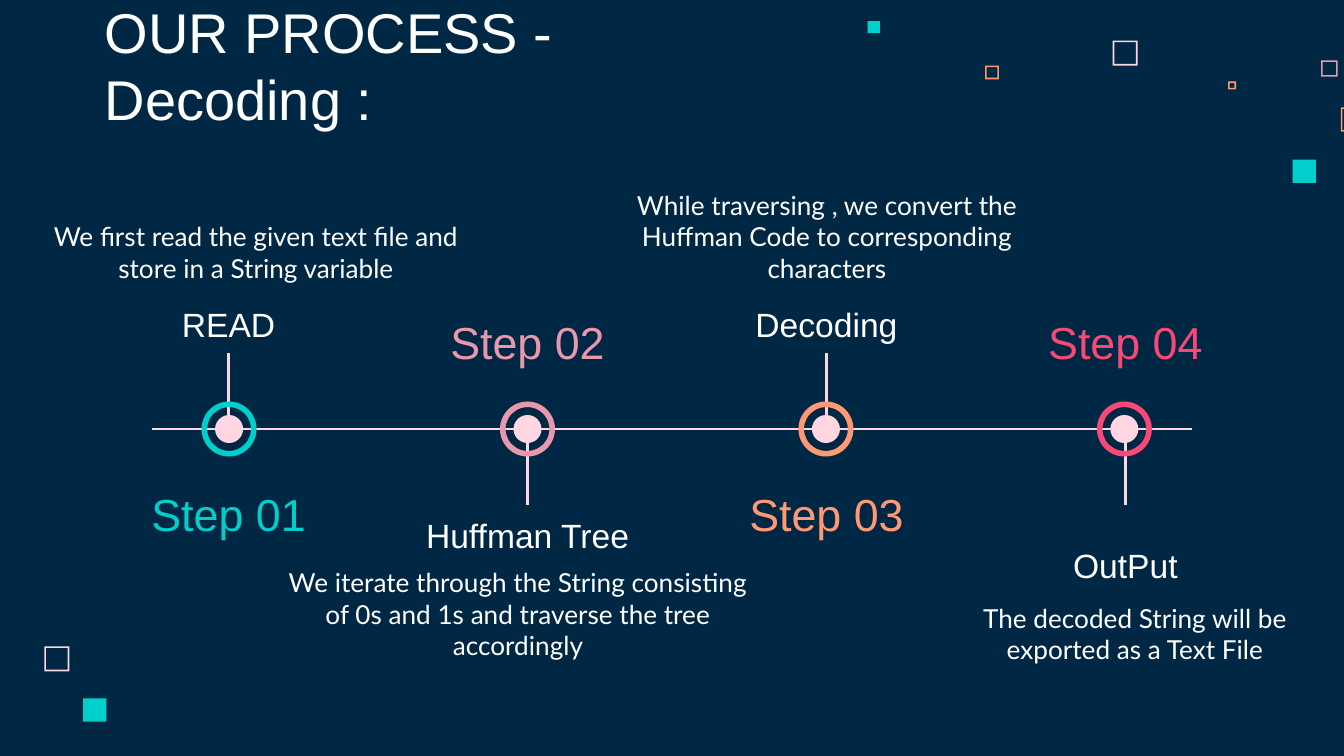
"""Build the four-step decoding process timeline slide."""
from dataclasses import dataclass

from lxml import etree
from pptx import Presentation
from pptx import util as u
from pptx.dml.color import RGBColor
from pptx.enum import shapes, text
from pptx.oxml.ns import qn


@dataclass(frozen=True)
class Theme:
    navy: str = "002845"
    white: str = "FFFFFF"
    blush: str = "FFD6E1"
    teal: str = "00CFCC"
    pink: str = "E898AC"
    orange: str = "FF9973"
    red: str = "F64975"
    display: str = "Arial"
    reading: str = "Lato"
    title_size: int = 30
    step_size: int = 24
    heading_size: int = 18
    detail_size: int = 14
    line_width: float = 1.5


@dataclass(frozen=True)
class Square:
    left: float
    top: float
    size: float
    color: str
    hollow: bool = True


@dataclass(frozen=True)
class Step:
    heading: str
    detail: str
    color: str
    above: bool
    heading_top: float
    detail_center: float
    detail_top: float
    detail_width: float


@dataclass(frozen=True)
class Box:
    center: float
    top: float
    width: float
    height: float


THEME = Theme()
SLIDE_WIDTH, SLIDE_HEIGHT = 25.4, 14.29
AXIS_Y, AXIS_START = 8.11, 2.87
FIRST_STEM, STEM_PITCH = 4.32, 5.65
FIRST_MARKER, MARKER_PITCH = 4.33, 5.64
STEM_NEAR, STEM_FAR = 0.17, 1.43
DOT_SIZE, RING_SIZE, RING_RATIO = 0.53, 1.04, 0.102
LABEL_HEIGHT, DETAIL_HEIGHT = 1.19, 1.8
FRAME_THICKNESS, INSET = 0.03, 0.25
TOP, MIDDLE, BOTTOM = (
    text.MSO_ANCHOR.TOP, text.MSO_ANCHOR.MIDDLE, text.MSO_ANCHOR.BOTTOM)

SQUARES = [
    Square(21.03, 0.77, 0.47, THEME.blush),
    Square(24.97, 1.14, 0.31, THEME.pink),
    Square(23.21, 1.54, 0.15, THEME.orange),
    Square(25.34, 2.03, 0.46, THEME.orange),
    Square(24.43, 3.02, 0.44, THEME.teal, False),
    Square(18.62, 1.24, 0.26, THEME.orange),
    Square(16.4, 0.4, 0.23, THEME.teal, False),
    Square(0.84, 12.22, 0.47, THEME.blush),
    Square(1.57, 13.2, 0.44, THEME.teal, False),
]

STEPS = [
    Step("READ", "We first read the given text file and store in a String variable",
         THEME.teal, True, 5.49, 4.84, 3.81, 8.81),
    Step("Huffman Tree", "We iterate through the String consisting of 0s and 1s "
         "and traverse the tree accordingly",
         THEME.pink, False, 9.55, 9.79, 10.46, 9.27),
    Step("Decoding", "While traversing , we convert the Huffman Code to "
         "corresponding characters",
         THEME.orange, True, 5.49, 15.63, 3.81, 7.9),
    Step("OutPut", "The decoded String will be exported as a Text File",
         THEME.red, False, 10.13, 21.45, 11.13, 6.78),
]


def rgb(color: str) -> RGBColor:
    return RGBColor.from_string(color)


def apply(target, values: dict) -> None:
    for name, value in values.items():
        setattr(target, name, value)


def write(holder, words: str, font: str, size: int, color: str,
          anchor, align=text.PP_ALIGN.CENTER) -> None:
    frame = holder.text_frame
    apply(frame, {"word_wrap": True, "auto_size": text.MSO_AUTO_SIZE.NONE,
                  "vertical_anchor": anchor})
    apply(frame, {f"margin_{side}": u.Cm(INSET)
                  for side in ("left", "top", "right", "bottom")})
    paragraph = frame.paragraphs[0]
    paragraph.alignment = align
    run = paragraph.add_run()
    run.text = words
    apply(run.font, {"name": font, "size": u.Pt(size)})
    run.font.color.rgb = rgb(color)


def add_label(slide, box: Box, words: str, font: str, size: int,
              color: str, anchor) -> None:
    label = slide.shapes.add_textbox(
        u.Cm(box.center - box.width / 2), u.Cm(box.top),
        u.Cm(box.width), u.Cm(box.height))
    write(label, words, font, size, color, anchor)


def add_solid(canvas, kind, left: float, top: float, size: float, color: str):
    solid = canvas.add_shape(kind, u.Cm(left), u.Cm(top), u.Cm(size), u.Cm(size))
    solid.shadow.inherit = False
    solid.fill.solid()
    solid.fill.fore_color.rgb = rgb(color)
    solid.line.fill.background()
    return solid


def add_square(slide, square: Square) -> None:
    kind = shapes.MSO_SHAPE.FRAME if square.hollow else shapes.MSO_SHAPE.RECTANGLE
    solid = add_solid(slide.shapes, kind, square.left, square.top,
                      square.size, square.color)
    if square.hollow:
        solid.adjustments[0] = FRAME_THICKNESS / square.size


def add_line(slide, x1: float, y1: float, x2: float, y2: float) -> None:
    line = slide.shapes.add_connector(
        shapes.MSO_CONNECTOR.STRAIGHT, u.Cm(x1), u.Cm(y1), u.Cm(x2), u.Cm(y2))
    line.line.width = u.Pt(THEME.line_width)
    line.line.color.rgb = rgb(THEME.blush)
    etree.SubElement(line._element.spPr, qn("a:effectLst"))


def add_marker(slide, center: float, color: str) -> None:
    marker = slide.shapes.add_group_shape().shapes
    add_solid(marker, shapes.MSO_SHAPE.OVAL, center - DOT_SIZE / 2,
              AXIS_Y - DOT_SIZE / 2, DOT_SIZE, THEME.blush)
    ring = add_solid(marker, shapes.MSO_SHAPE.DONUT, center - RING_SIZE / 2,
                     AXIS_Y - RING_SIZE / 2, RING_SIZE, color)
    ring.adjustments[0] = RING_RATIO


def add_step(slide, index: int, step: Step) -> None:
    stem = FIRST_STEM + index * STEM_PITCH
    side = -1 if step.above else 1
    add_line(slide, stem, AXIS_Y + side * STEM_NEAR, stem, AXIS_Y + side * STEM_FAR)
    add_marker(slide, FIRST_MARKER + index * MARKER_PITCH, step.color)
    add_label(slide, Box(stem, step.heading_top, 5.23, LABEL_HEIGHT), step.heading,
              THEME.display, THEME.heading_size, THEME.white,
              TOP if step.above else BOTTOM)
    add_label(slide, Box(step.detail_center, step.detail_top, step.detail_width,
                         DETAIL_HEIGHT), step.detail,
              THEME.reading, THEME.detail_size, THEME.white,
              BOTTOM if step.above else TOP)
    add_label(slide, Box(stem, 9.12 if step.above else 5.87, 3.58, LABEL_HEIGHT),
              f"Step {index + 1:02d}", THEME.display, THEME.step_size,
              step.color, MIDDLE)


def main() -> None:
    deck = Presentation()
    apply(deck, {"slide_width": u.Cm(SLIDE_WIDTH), "slide_height": u.Cm(SLIDE_HEIGHT)})
    slide = deck.slides.add_slide(deck.slide_layouts.get_by_name("Title Only"))
    slide.background.fill.solid()
    slide.background.fill.fore_color.rgb = rgb(THEME.navy)
    for square in SQUARES:
        add_square(slide, square)
    title = slide.shapes.title
    apply(title, {"left": u.Cm(1.73), "top": u.Cm(1.14),
                  "width": u.Cm(13.13), "height": u.Cm(1.6)})
    write(title, "OUR PROCESS - Decoding :", THEME.display, THEME.title_size,
          THEME.white, BOTTOM, text.PP_ALIGN.LEFT)
    add_line(slide, AXIS_START, AXIS_Y, SLIDE_WIDTH - AXIS_START, AXIS_Y)
    for index, step in enumerate(STEPS):
        add_step(slide, index, step)
    deck.save("out.pptx")


if __name__ == "__main__":
    main()
